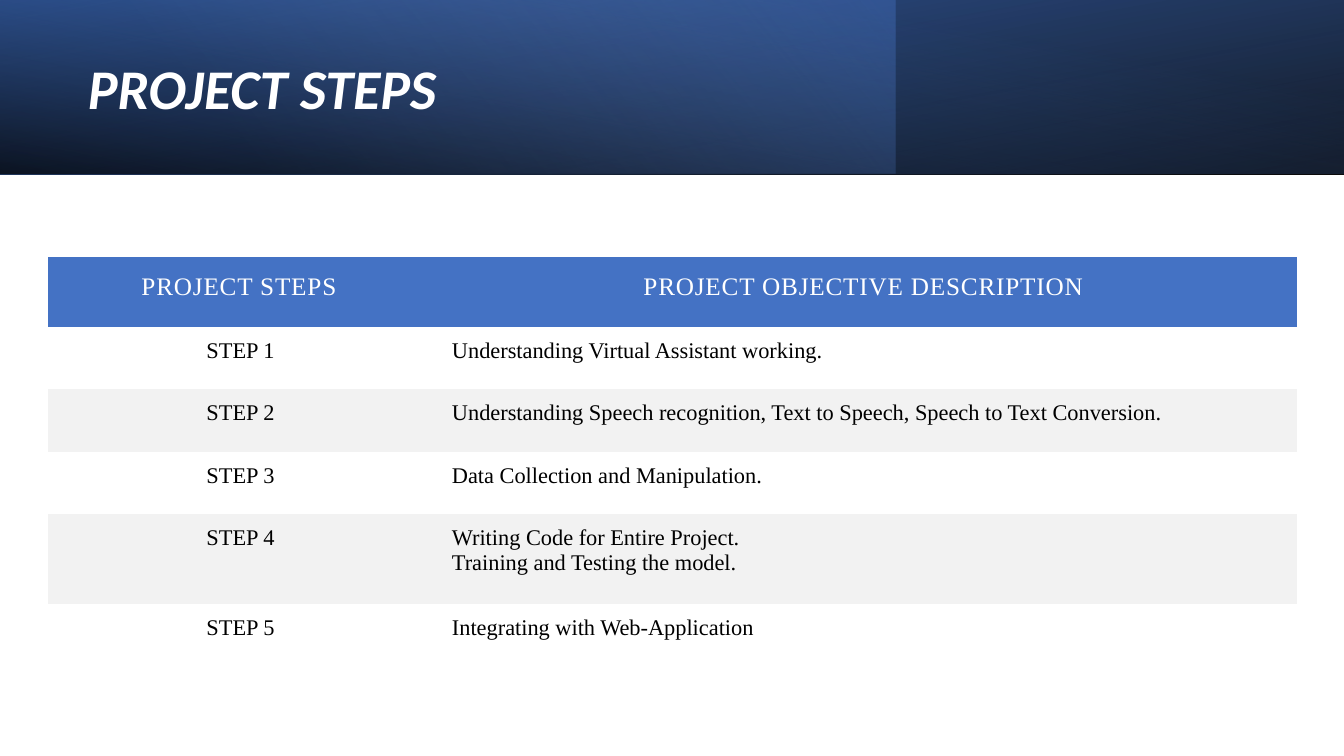
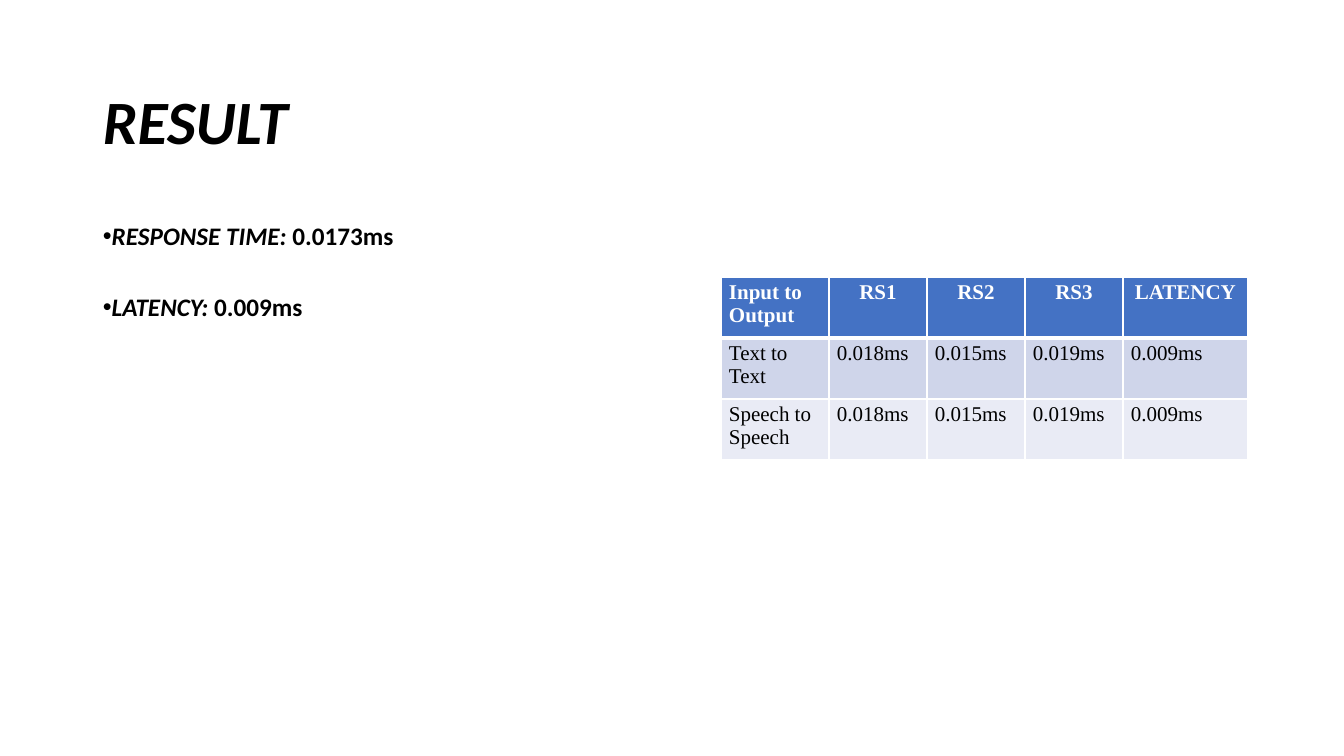
from lxml import etree
from pptx import Presentation
from pptx import util as u
from pptx.dml.color import RGBColor
from pptx.enum import shapes, text
from pptx.oxml import ns

EMU_PER_PX = 914400 / 100.8
WIDTH, HEIGHT = 1344, 756
BLUE, NAVY, PALE_BLUE = "4472C4", "2F5597", "8FAADC"
BLACK, WHITE, GREY = "000000", "FFFFFF", "F2F2F2"
BAND_DARK, BAND_LIGHT = "CFD5EA", "E9EBF5"
HEADING, SERIF = "Calibri", "Times New Roman"
PLAIN_TABLE_STYLE = "{2D5ABB26-0587-4C30-8999-92F81FD0307C}"
CENTER, LEFT = text.PP_ALIGN.CENTER, text.PP_ALIGN.LEFT
TOP, MIDDLE = text.MSO_ANCHOR.TOP, text.MSO_ANCHOR.MIDDLE


def px(value):
    return u.Emu(round(value * EMU_PER_PX))


def color(value):
    return RGBColor.from_string(value)


def add_node(parent, tag, **attributes):
    node = etree.SubElement(parent, ns.qn(tag))
    for name, value in attributes.items():
        node.set(name, str(value))
    return node


def set_values(target, values):
    for name, value in values.items():
        setattr(target, name, value)


def add_run(paragraph, words, size, font, hex_color, bold=False, italic=False, spacing=0):
    """Spacing is the tracking in hundredths of a point."""
    run = paragraph.add_run()
    run.text = words
    set_values(run.font, dict(size=u.Pt(size), name=font, bold=bold, italic=italic))
    run.font.color.rgb = color(hex_color)
    if spacing:
        run.font._element.set("spc", str(spacing))


def add_text_box(slide, box, anchor=TOP):
    frame = slide.shapes.add_textbox(*map(px, box)).text_frame
    set_values(frame, dict(word_wrap=True, vertical_anchor=anchor))
    return frame


def add_title(slide, box, words, size, hex_color):
    paragraph = add_text_box(slide, box, MIDDLE).paragraphs[0]
    paragraph.line_spacing = 0.9
    add_run(paragraph, words, size, HEADING, hex_color, bold=True, italic=True)


def add_gradient_panel(slide, box, stops, angle, rotation=0, flip=False):
    """Stops are (position %, colour, opacity %); the angle runs clockwise."""
    panel = slide.shapes.add_shape(shapes.MSO_SHAPE.RECTANGLE, *map(px, box))
    panel.shadow.inherit = False
    panel.line.fill.background()
    panel.rotation = rotation
    properties = panel._element.spPr
    if flip:
        properties.find(ns.qn("a:xfrm")).set("flipH", "1")
    gradient = etree.Element(ns.qn("a:gradFill"), rotWithShape="1")
    stop_list = add_node(gradient, "a:gsLst")
    for position, hex_color, opacity in stops:
        stop = add_node(stop_list, "a:gs", pos=position * 1000)
        tint = add_node(stop, "a:srgbClr", val=hex_color)
        add_node(tint, "a:alpha", val=opacity * 1000)
    add_node(gradient, "a:lin", ang=angle * 60000, scaled=0)
    properties.find(ns.qn("a:prstGeom")).addnext(gradient)


def add_header_band(slide, box):
    left, top, width, height = box
    add_gradient_panel(slide, box, [(0, BLACK, 96), (100, NAVY, 100)], 100,
                       rotation=180, flip=True)
    add_gradient_panel(slide, (left, top, width * 2 // 3, height),
                       [(0, BLUE, 41), (74, PALE_BLUE, 0)], 140)
    add_gradient_panel(slide, box, [(0, BLACK, 63), (78, BLUE, 15)], 260, flip=True)
    add_title(slide, (left + 78, top + 27, 778, 128), "PROJECT STEPS", 40, WHITE)


def add_plain_table(slide, left, top, columns, rows):
    frame = slide.shapes.add_table(len(rows), len(columns), px(left), px(top),
                                   px(sum(columns)), px(sum(rows)))
    table = frame.table
    set_values(table, dict(first_row=False, horz_banding=False))
    table._tbl.tblPr.find(ns.qn("a:tableStyleId")).text = PLAIN_TABLE_STYLE
    for column, width in zip(table.columns, columns):
        column.width = px(width)
    for row, height in zip(table.rows, rows):
        row.height = px(height)
    return table


def fill_cell(cell, lines, fill, margins, align, anchor=TOP, **font):
    sides = ("margin_left", "margin_top", "margin_right", "margin_bottom")
    set_values(cell, dict(zip(sides, map(px, margins))))
    cell.vertical_anchor = anchor
    frame = cell.text_frame
    for index, line in enumerate(lines):
        paragraph = frame.add_paragraph() if index else frame.paragraphs[0]
        paragraph.alignment = align
        add_run(paragraph, line, font=SERIF, **font)
    if fill:
        cell.fill.solid()
        cell.fill.fore_color.rgb = color(fill)
    else:
        cell.fill.background()


def add_cell_borders(cell, top_width, bottom_width):
    """Draw white borders, which come before the fill in the cell's XML."""
    properties = cell._tc.get_or_add_tcPr()
    widths = dict(lnL=1, lnR=1, lnT=top_width, lnB=bottom_width)
    for index, (side, width) in enumerate(widths.items()):
        line = etree.Element(ns.qn("a:" + side), w=str(u.Pt(width)))
        add_node(add_node(line, "a:solidFill"), "a:srgbClr", val=WHITE)
        properties.insert(index, line)


def add_steps_table(slide, left, top):
    steps = [
        ["Understanding Virtual Assistant working."],
        ["Understanding Speech recognition, Text to Speech, Speech to Text Conversion."],
        ["Data Collection and Manipulation."],
        ["Writing Code for Entire Project.", "Training and Testing the model."],
        ["Integrating with Web-Application"],
    ]
    table = add_plain_table(slide, left, top, [367, 882], [70, 62, 63, 62, 90, 62])
    for column, heading in enumerate(["PROJECT STEPS", "PROJECT OBJECTIVE DESCRIPTION"]):
        fill_cell(table.cell(0, column), [heading], BLUE, (37, 12, 22, 22), CENTER,
                  MIDDLE, size=18, hex_color=WHITE, spacing=60)
    for number, description in enumerate(steps, 1):
        fill = None if number % 2 else GREY
        for column, (lines, align) in enumerate([([f"STEP {number}"], CENTER),
                                                 (description, LEFT)]):
            fill_cell(table.cell(number, column), lines, fill, (37, 12, 19, 19), align,
                      size=16, hex_color=BLACK)


def add_timing_table(slide, left, top):
    timings = ["0.018ms", "0.015ms", "0.019ms", "0.009ms"]
    rows = [
        ["Input to Output", "RS1", "RS2", "RS3", "LATENCY"],
        ["Text to Text", *timings],
        ["Speech to Speech", *timings],
    ]
    fills = [BLUE, BAND_DARK, BAND_LIGHT]
    table = add_plain_table(slide, left, top, [108, 98, 98, 98, 125], [61] * 3)
    for r, (row, fill) in enumerate(zip(rows, fills)):
        header = r == 0
        for c, words in enumerate(row):
            cell = table.cell(r, c)
            fill_cell(cell, [words], fill, (8, 4, 8, 4),
                      CENTER if header and c else LEFT, size=15, bold=header,
                      hex_color=WHITE if header else BLACK)
            add_cell_borders(cell, top_width=3 if r == 1 else 1,
                             bottom_width=3 if header else 1)


def add_result_bullets(slide, box):
    frame = add_text_box(slide, box)
    results = [("RESPONSE TIME: ", "0.0173ms"), ("LATENCY: ", "0.009ms")]
    for index, (label, value) in enumerate(results):
        paragraph = frame.add_paragraph() if index else frame.paragraphs[0]
        set_values(paragraph, dict(line_spacing=0.9, space_after=u.Pt(31)))
        properties = paragraph._p.get_or_add_pPr()
        properties.set("marL", "0")
        properties.set("indent", str(-u.Inches(0.25)))
        add_node(properties, "a:buFont", typeface="Arial")
        add_node(properties, "a:buChar", char="•")
        add_run(paragraph, label, 18, HEADING, BLACK, bold=True, italic=True)
        add_run(paragraph, value, 18, HEADING, BLACK, bold=True)


def build_steps_slide(slide):
    add_header_band(slide, (0, 0, WIDTH, 174))
    add_steps_table(slide, 48, 257)


def build_result_slide(slide):
    add_title(slide, (93, 52, 580, 146), "RESULT", 44, BLACK)
    add_result_bullets(slide, (93, 219, 580, 462))
    add_timing_table(slide, 721, 277)


def main():
    presentation = Presentation()
    set_values(presentation, dict(slide_width=px(WIDTH), slide_height=px(HEIGHT)))
    blank = presentation.slide_layouts[6]
    for build in (build_steps_slide, build_result_slide):
        build(presentation.slides.add_slide(blank))
    presentation.save("out.pptx")


if __name__ == "__main__":
    main()
